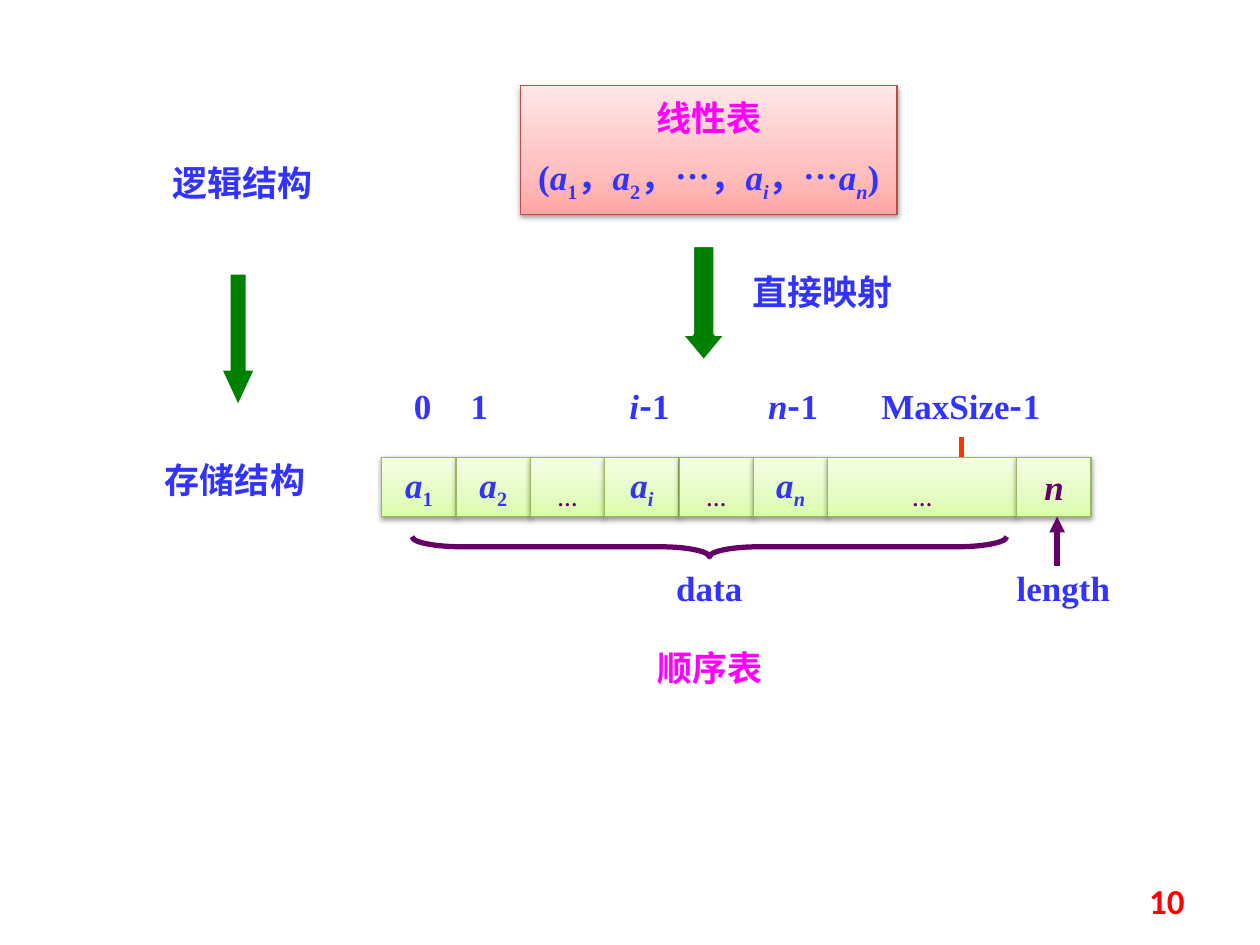
import lxml.etree
import pptx
import pptx.dml.color
import pptx.enum.shapes
import pptx.enum.text
import pptx.oxml
import pptx.oxml.ns
import pptx.util

Inches = pptx.util.Inches
Pt = pptx.util.Pt
qn = pptx.oxml.ns.qn
SHAPES = pptx.enum.shapes.MSO_SHAPE
ALIGN = pptx.enum.text.PP_ALIGN
ANCHOR = pptx.enum.text.MSO_ANCHOR

SERIF = "Times New Roman"
SANS = "Noto Sans CJK SC"
BLUE, PINK, PURPLE, GREEN = "3333FF", "FF00FF", "660066", "008000"
PINK_STOPS = [(0, "FFA6A5"), (35, "FFC0BF"), (100, "FFE7E7")]
GREEN_STOPS = [(0, "DAFDA7"), (35, "E4FCC2"), (100, "F5FFE7")]
ITALIC, SUB, DASH = "i", "s", "d"
CELL_LEFT, CELL_TOP, CELL_WIDTH, CELL_HEIGHT = 3.03, 3.63, 0.59, 0.47


def rgb(color):
    return pptx.dml.color.RGBColor.from_string(color)


def add_child(parent, tag, **attributes):
    return lxml.etree.SubElement(parent, qn(tag), **attributes)


def write_runs(paragraph, pieces, color, font=SERIF, align=ALIGN.CENTER):
    paragraph.alignment = align
    for text, style in pieces:
        run = paragraph.add_run()
        run.text = text
        run.font.size = Pt(20)
        run.font.bold = True
        run.font.italic = ITALIC in style
        run.font.color.rgb = rgb(color)
        run.font.name = SANS if DASH in style else font
        properties = run._r.get_or_add_rPr()
        add_child(properties, "a:ea", typeface=SANS)
        if SUB in style:
            properties.set("baseline", "-25000")


def add_label(slide, box, pieces, color=BLUE, font=SERIF):
    label = slide.shapes.add_textbox(*map(Inches, box))
    label.text_frame.word_wrap = True
    label.text_frame.auto_size = pptx.enum.text.MSO_AUTO_SIZE.SHAPE_TO_FIT_TEXT
    write_runs(label.text_frame.paragraphs[0], pieces, color, font)


def add_shape(slide, preset, box):
    shape = slide.shapes.add_shape(preset, *map(Inches, box))
    shape.shadow.inherit = False
    return shape


def add_panel(slide, box, stops, border):
    panel = add_shape(slide, SHAPES.RECTANGLE, box)
    panel.fill.gradient()
    panel.fill.gradient_angle = 90
    stop_list = panel._element.spPr.find(".//" + qn("a:gsLst"))
    for old_stop in list(stop_list):
        stop_list.remove(old_stop)
    for position, color in stops:
        stop = add_child(stop_list, "a:gs", pos=str(position * 1000))
        add_child(stop, "a:srgbClr", val=color)
    panel.line.color.rgb = rgb(border)
    panel.line.width = Pt(0.75)
    effects = panel._element.spPr.find(qn("a:effectLst"))
    shadow = add_child(effects, "a:outerShdw", blurRad=str(Pt(3.1)), dist=str(Pt(1.6)),
                       dir="5400000", rotWithShape="0")
    shade = add_child(shadow, "a:srgbClr", val="000000")
    add_child(shade, "a:alpha", val="38000")
    panel.text_frame.word_wrap = False
    panel.text_frame.vertical_anchor = ANCHOR.MIDDLE
    return panel


def add_linear_list(slide):
    frame = add_panel(slide, (4.13, 0.68, 2.99, 1.02), PINK_STOPS, "BF4C48").text_frame
    write_runs(frame.paragraphs[0], [("线性表", "")], PINK)
    elements = frame.add_paragraph()
    elements.space_before = Pt(10)
    write_runs(elements, [
        ("(", ""), ("a", ITALIC), ("1", SUB), ("，", ""), ("a", ITALIC), ("2", SUB),
        ("，…，", ""), ("a", ITALIC), ("i", ITALIC + SUB), ("，…", ""),
        ("a", ITALIC), ("n", ITALIC + SUB), (")", "")], BLUE)


def add_cells(slide):
    ellipsis = [("…", SUB)]
    cells = [
        ([("a", ITALIC), ("1", SUB)], BLUE, CELL_WIDTH),
        ([("a", ITALIC), ("2", SUB)], BLUE, CELL_WIDTH),
        (ellipsis, PURPLE, CELL_WIDTH),
        ([("a", ITALIC), ("i", ITALIC + SUB)], BLUE, CELL_WIDTH),
        (ellipsis, PURPLE, CELL_WIDTH),
        ([("a", ITALIC), ("n", ITALIC + SUB)], BLUE, CELL_WIDTH),
        (ellipsis, PURPLE, 1.5),
        ([("n", ITALIC)], PURPLE, CELL_WIDTH),
    ]
    left = CELL_LEFT
    for pieces, color, width in cells:
        cell = add_panel(slide, (left, CELL_TOP, width, CELL_HEIGHT), GREEN_STOPS, "98B955")
        write_runs(cell.text_frame.paragraphs[0], pieces, color)
        left += width


def add_indices(slide):
    for left, width, pieces in [
        (3.08, 0.55, [("0", "")]),
        (3.53, 0.55, [("1", "")]),
        (4.84, 0.63, [("i", ITALIC), ("-", DASH), ("1", "")]),
        (5.94, 0.71, [("n", ITALIC), ("-", DASH), ("1", "")]),
        (6.8, 1.65, [("MaxSize", ""), ("-", DASH), ("1", "")]),
    ]:
        add_label(slide, (left, 3, width, 0.43), pieces)


def add_down_arrow(slide, box, head):
    arrow = add_shape(slide, SHAPES.DOWN_ARROW, box)
    arrow.adjustments[1] = head
    arrow.fill.solid()
    arrow.fill.fore_color.rgb = rgb(GREEN)
    arrow.line.fill.background()
    return arrow


def add_line(slide, start, end, color, arrowhead=False):
    line = slide.shapes.add_connector(
        pptx.enum.shapes.MSO_CONNECTOR.STRAIGHT, *map(Inches, start + end))
    line.line.color.rgb = rgb(color)
    line.line.width = Pt(3)
    if arrowhead:
        add_child(line.line._get_or_add_ln(), "a:tailEnd", type="triangle")
    add_child(line._element.spPr, "a:effectLst")


def add_brace(slide):
    brace = add_shape(slide, SHAPES.RIGHT_BRACE, (5.55, 1.98, 0.16, 4.72))
    brace.rotation = 90
    brace.adjustments[0] = 2.49
    brace.fill.background()
    brace.line.color.rgb = rgb(PURPLE)
    brace.line.width = Pt(3)


def add_page_number(slide):
    number = slide.shapes.add_textbox(*map(Inches, (7.17, 6.95, 2.33, 0.4)))
    number.text_frame.word_wrap = True
    number.text_frame.vertical_anchor = ANCHOR.MIDDLE
    write_runs(number.text_frame.paragraphs[0], [("10", "")], "FF0000", "Calibri", ALIGN.RIGHT)


def main():
    deck = pptx.Presentation()
    deck.slide_width, deck.slide_height = Inches(10), Inches(7.5)
    slide = deck.slides.add_slide(deck.slide_layouts[6])

    add_linear_list(slide)
    mapping_arrow = add_down_arrow(slide, (5.39, 1.94, 0.39, 0.94), 0.6)
    mapping_arrow.line.color.rgb = rgb("FFFFFF")
    mapping_arrow.line.width = Pt(3)
    add_label(slide, (5.78, 2.1, 1.5, 0.43), [("直接映射", "")], font=SANS)
    add_cells(slide)
    add_indices(slide)
    add_line(slide, (7.63, 3.47), (7.63, CELL_TOP), "FF3300")
    add_brace(slide)
    add_label(slide, (5.08, 4.45, 1.1, 0.43), [("data", "")])
    add_label(slide, (7.81, 4.45, 1.26, 0.43), [("length", "")])
    add_line(slide, (8.39, 4.49), (8.39, CELL_TOP + CELL_HEIGHT), PURPLE, arrowhead=True)
    add_label(slide, (4.69, 5.08, 1.89, 0.44), [("顺序表", "")], PINK, SANS)
    add_label(slide, (0.98, 1.23, 1.89, 0.44), [("逻辑结构", "")])
    add_label(slide, (0.92, 3.59, 1.89, 0.44), [("存储结构", "")])
    add_down_arrow(slide, (1.77, 2.18, 0.24, 1.02), 1.08)
    add_page_number(slide)
    deck.save("out.pptx")


if __name__ == "__main__":
    main()
